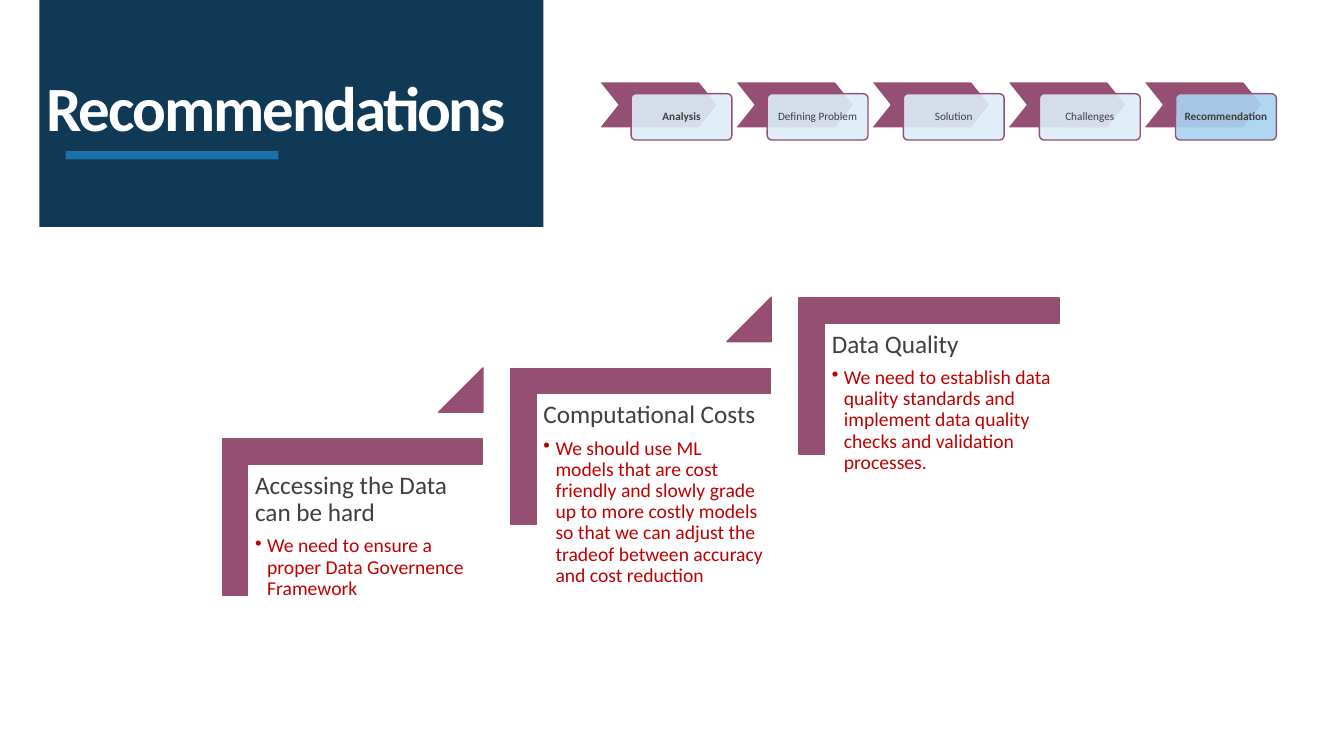
from lxml import etree
from pptx import Presentation
from pptx.dml.color import RGBColor
from pptx.enum.shapes import MSO_CONNECTOR, MSO_SHAPE
from pptx.enum.text import MSO_ANCHOR, PP_ALIGN
from pptx.oxml.ns import qn
from pptx.util import Emu, Pt

EMU_PER_PX = 9144  # 100 px to the inch

NAVY = RGBColor(0x0F, 0x39, 0x55)
BLUE = RGBColor(0x1E, 0x73, 0xAC)
PLUM = RGBColor(0x95, 0x4F, 0x72)
PALE_BLUE = RGBColor(0xDC, 0xED, 0xF9)
SKY_BLUE = RGBColor(0xA8, 0xD3, 0xF0)
DARK_GREY = RGBColor(0x3F, 0x3F, 0x3F)
RED = RGBColor(0xC0, 0x00, 0x00)
WHITE = RGBColor(0xFF, 0xFF, 0xFF)

# Label, bold, card colour
STAGES = [
    ("Analysis", True, PALE_BLUE),
    ("Defining Problem", False, PALE_BLUE),
    ("Solution", False, PALE_BLUE),
    ("Challenges", False, PALE_BLUE),
    ("Recommendation", True, SKY_BLUE),
]
STAGE_PITCH = 135

STEPS = [
    ("Accessing the Data can be hard",
     "We need to ensure a proper Data Governence Framework"),
    ("Computational Costs",
     "We should use ML models that are cost friendly and slowly grade up to "
     "more costly models so that we can adjust the tradeof between accuracy "
     "and cost reduction"),
    ("Data Quality",
     "We need to establish data quality standards and implement data quality "
     "checks and validation processes."),
]
STEP_RUN, STEP_RISE = 286, 70


def px(length):
    return Emu(length * EMU_PER_PX)


def set_opacity(shape, percent):
    """Set the opacity of the first colour in the shape's properties."""
    colour = shape._element.spPr.find(".//" + qn("a:srgbClr"))
    etree.SubElement(colour, qn("a:alpha")).set("val", str(percent * 1000))


def add_box(shapes, kind, bounds, fill, line=None, adjustments=()):
    shape = shapes.add_shape(kind, *map(px, bounds))
    shape.shadow.inherit = False
    shape.fill.solid()
    shape.fill.fore_color.rgb = fill
    if line is None:
        shape.line.fill.background()
    else:
        shape.line.color.rgb = line
        shape.line.width = Pt(1)
    for index, value in enumerate(adjustments):
        shape.adjustments[index] = value
    return shape


def set_frame(frame, insets, anchor=MSO_ANCHOR.TOP):
    """Wrap the text and set the left, top, right and bottom insets."""
    frame.word_wrap = True
    frame.vertical_anchor = anchor
    (frame.margin_left, frame.margin_top,
     frame.margin_right, frame.margin_bottom) = map(px, insets)


def style_paragraph(paragraph, text, size, colour, bold=False):
    paragraph.text = text
    paragraph.line_spacing = 0.9
    font = paragraph.font
    font.name = "Calibri"
    font.size = Pt(size)
    font.bold = bold
    font.color.rgb = colour


def add_bullet(paragraph):
    properties = paragraph._p.get_or_add_pPr()
    properties.set("marL", str(px(12)))
    properties.set("indent", str(px(-12)))
    etree.SubElement(properties, qn("a:buChar")).set("char", "•")


def add_title(shapes):
    add_box(shapes, MSO_SHAPE.RECTANGLE, (39, 0, 500, 225), NAVY)
    underline = shapes.add_connector(
        MSO_CONNECTOR.STRAIGHT, px(276), px(154), px(65), px(154))
    underline.line.color.rgb = BLUE
    underline.line.width = Pt(6)
    set_opacity(underline, 97)
    etree.SubElement(underline._element.spPr, qn("a:effectLst"))

    frame = shapes.add_textbox(px(46), px(15), px(491), px(129)).text_frame
    set_frame(frame, (0, 5, 10, 0), MSO_ANCHOR.BOTTOM)
    paragraph = frame.paragraphs[0]
    style_paragraph(paragraph, "Recommendations", 45, WHITE, bold=True)
    paragraph.font._element.set("spc", "-150")


def add_stage(shapes, left, label, bold, colour):
    """Add a chevron with a labelled card over its right end."""
    add_box(shapes, MSO_SHAPE.CHEVRON, (left, 81, 118, 46), PLUM, WHITE, [0.4])
    card = add_box(shapes, MSO_SHAPE.ROUNDED_RECTANGLE,
                   (left + 32, 93, 100, 46), colour, PLUM, [0.1])
    set_opacity(card, 90)
    set_frame(card.text_frame, (7, 7, 7, 7), MSO_ANCHOR.MIDDLE)
    paragraph = card.text_frame.paragraphs[0]
    style_paragraph(paragraph, label, 8, DARK_GREY, bold)
    paragraph.alignment = PP_ALIGN.CENTER


def add_step(shapes, left, top, heading, advice):
    """Add a stair corner with its heading and advice."""
    corner = add_box(shapes, MSO_SHAPE.CORNER, (left, top, 155, 258),
                     PLUM, PLUM, [0.161, 0.161])
    corner.rotation = 90
    frame = shapes.add_textbox(
        px(left - 26), px(top + 78), px(233), px(204)).text_frame
    set_frame(frame, (7, 7, 7, 7))
    title = frame.paragraphs[0]
    style_paragraph(title, heading, 18, DARK_GREY)
    title.space_after = Pt(6.3)
    detail = frame.add_paragraph()
    detail.level = 1
    add_bullet(detail)
    style_paragraph(detail, advice, 14, RED)


def main():
    presentation = Presentation()
    presentation.slide_width, presentation.slide_height = px(1333), px(750)
    slide = presentation.slides.add_slide(presentation.slide_layouts[6])
    add_title(slide.shapes)

    stages = slide.shapes.add_group_shape().shapes
    for index, stage in enumerate(STAGES):
        add_stage(stages, 594 + index * STAGE_PITCH, *stage)

    stairs = slide.shapes.add_group_shape().shapes
    for index, step in enumerate(STEPS):
        left, top = 272 + index * STEP_RUN, 384 - index * STEP_RISE
        add_step(stairs, left, top, *step)
        if index < len(STEPS) - 1:
            add_box(stairs, MSO_SHAPE.ISOSCELES_TRIANGLE,
                    (left + 163, top - 19, 44, 44), PLUM, PLUM, [1])

    presentation.save("out.pptx")


if __name__ == "__main__":
    main()
